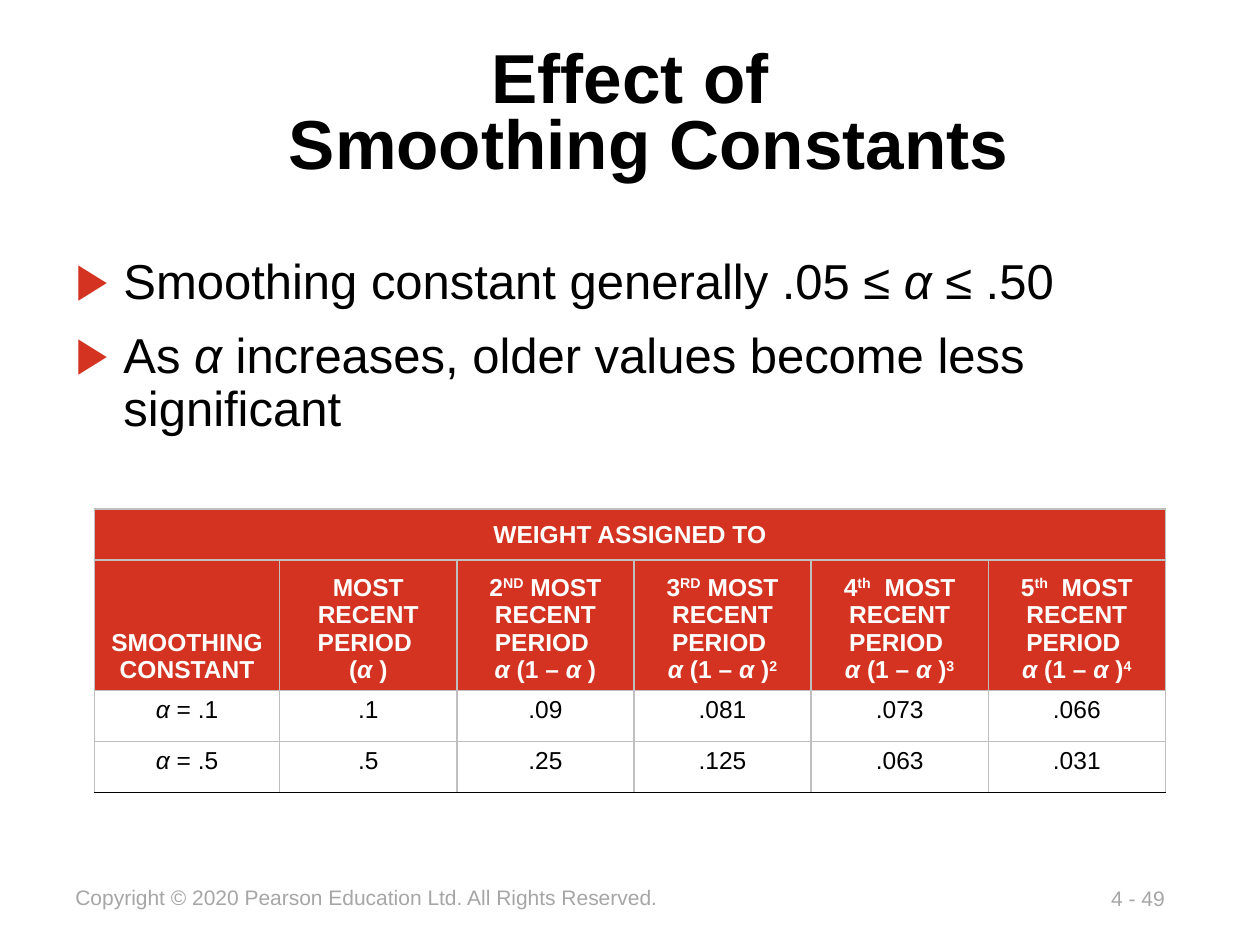
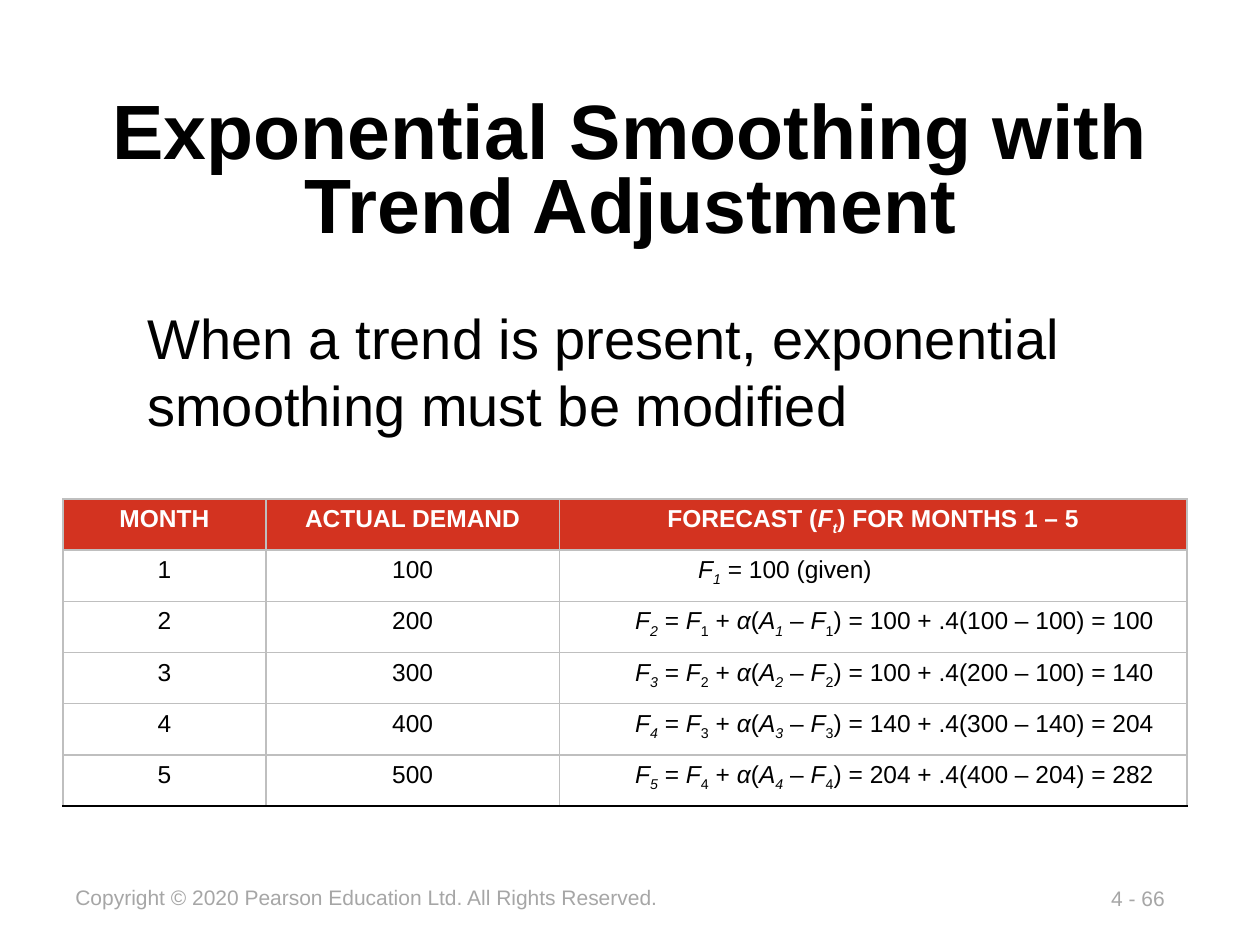
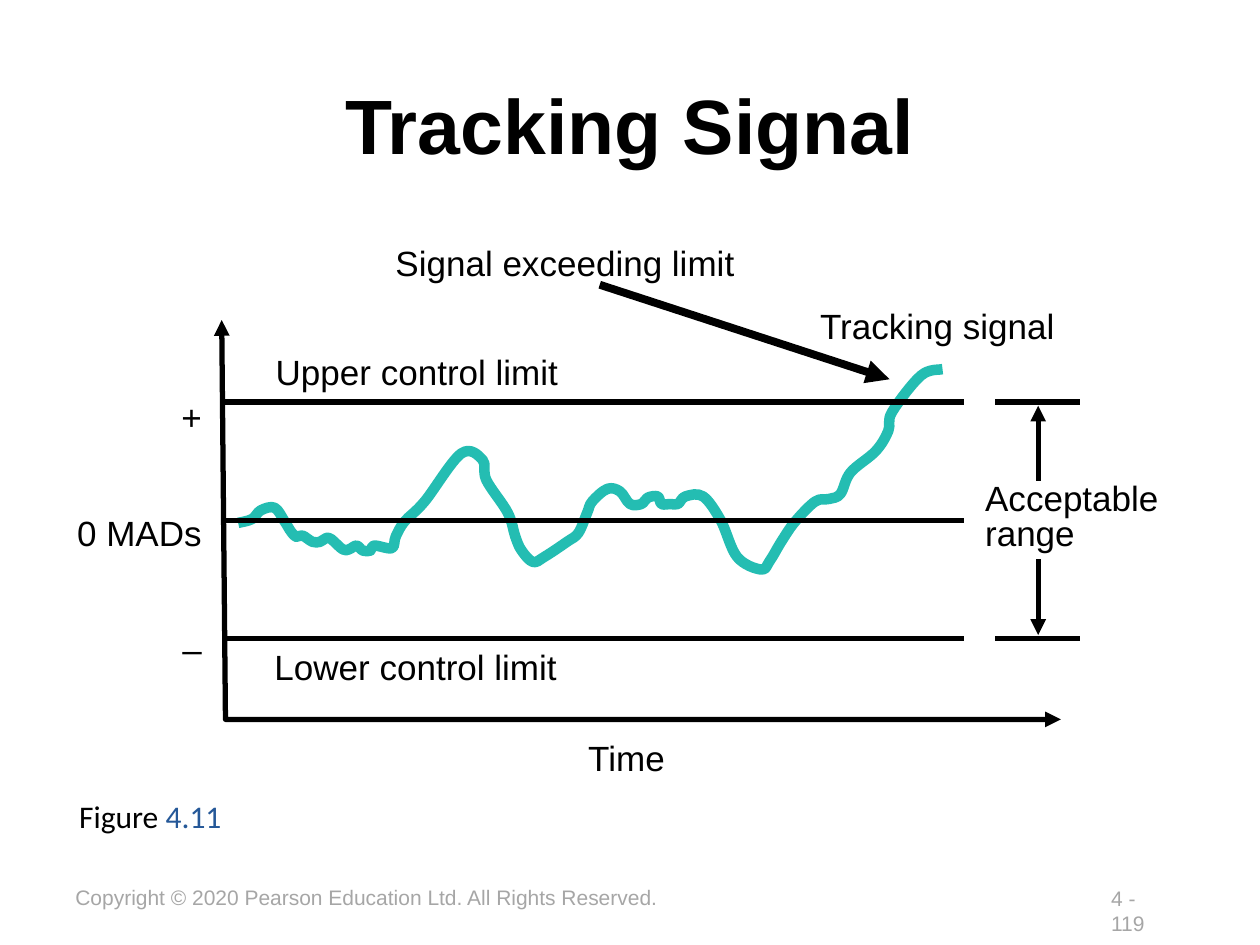
"""Build three forecasting slides: smoothing constants, trend adjustment, tracking signal."""
from lxml import etree
from pptx import Presentation
from pptx.dml.color import RGBColor
from pptx.enum.shapes import MSO_CONNECTOR
from pptx.enum.text import MSO_ANCHOR, MSO_AUTO_SIZE, PP_ALIGN
from pptx.oxml.ns import qn
from pptx.util import Inches, Pt

LEFT, MID, RIGHT = PP_ALIGN.LEFT, PP_ALIGN.CENTER, PP_ALIGN.RIGHT
TOP, CENTER, LOW = MSO_ANCHOR.TOP, MSO_ANCHOR.MIDDLE, MSO_ANCHOR.BOTTOM
FIXED, GROW = MSO_AUTO_SIZE.NONE, MSO_AUTO_SIZE.SHAPE_TO_FIT_TEXT
STRAIGHT = MSO_CONNECTOR.STRAIGHT

COLORS = {"red": "D33320", "ink": "000000", "paper": "FFFFFF", "rule": "BFBFBF",
          "foot": "A6A6A6", "teal": "24BDB2", "link": "255898"}
BASE = {"^": "30000", "_": "-25000"}
FOOT = "Copyright © 2020 Pearson Education Ltd. All Rights Reserved."

BULLETS = ("Smoothing constant generally .05 ≤ *α* ≤ .50\n"
           "As *α* increases, older values become less significant")
WEIGHTS = [
    ["WEIGHT ASSIGNED TO"] + [""] * 5,
    ["SMOOTHING CONSTANT",
     "MOST RECENT PERIOD \n(*α *)",
     "2^ND^ MOST RECENT PERIOD \n*α *(1 – *α *)",
     "3^RD^ MOST RECENT PERIOD \n*α *(1 – *α *)^2^",
     "4^th^  MOST RECENT PERIOD \n*α *(1 – *α *)^3^",
     "5^th^  MOST RECENT PERIOD \n*α *(1 – *α *)^4^"],
    ["*α* = .1", ".1", ".09", ".081", ".073", ".066"],
    ["*α* = .5", ".5", ".25", ".125", ".063", ".031"],
]
TREND = "When a trend is present, exponential smoothing must be modified"
HEADS = ["MONTH", "ACTUAL DEMAND", "FORECAST (*F_t_*) FOR MONTHS 1 – 5"]
DEMAND = [100, 200, 300, 400, 500]

SIGNAL = [
    (1.89, 4.15), (2, 4.12), (2.07, 4.05), (2.18, 4.03), (2.26, 4.14), (2.31, 4.22),
    (2.35, 4.26), (2.4, 4.25), (2.48, 4.3), (2.54, 4.3), (2.59, 4.27), (2.63, 4.28),
    (2.72, 4.36), (2.77, 4.36), (2.83, 4.33), (2.88, 4.37), (2.94, 4.37), (2.97, 4.33),
    (3.11, 4.35), (3.14, 4.26), (3.21, 4.14), (3.37, 3.98), (3.66, 3.6), (3.83, 3.65),
    (3.86, 3.81), (4.03, 4.07), (4.09, 4.26), (4.14, 4.37), (4.23, 4.46), (4.32, 4.42),
    (4.5, 4.3), (4.59, 4.23), (4.66, 4.07), (4.7, 3.98), (4.82, 3.88), (4.92, 3.9),
    (5, 4), (5.09, 4), (5.14, 3.95), (5.22, 3.94), (5.25, 4), (5.32, 4), (5.38, 4),
    (5.44, 3.94), (5.58, 3.94), (5.72, 4.13), (5.85, 4.42), (6.04, 4.52), (6.11, 4.45),
    (6.2, 4.3), (6.31, 4.14), (6.47, 3.98), (6.58, 3.96), (6.67, 3.92), (6.75, 3.75),
    (6.95, 3.58), (7.05, 3.42), (7.08, 3.27), (7.31, 2.98), (7.48, 2.93)]
AXES = [(1.76, 2.54), (1.79, 5.71), (8.42, 5.71)]
UPPER, ZERO, LOWER = 3.19, 4.13, 5.07
LABELS = [
    ("Tracking signal", (6.41, 2.37, 2.08, 0.44), {}),
    ("+\n0 MADs\n–", (0.48, 2.51, 1.22, 2.85), {"align": RIGHT, "lead": 2.75}),
    ("Upper control limit", (2.09, 2.73, 2.46, 0.44), {}),
    ("Lower control limit", (2.08, LOWER, 2.46, 0.44), {}),
    ("Time", (4.57, 5.8, 0.81, 0.44), {}),
    ("Signal exceeding limit", (3.04, 1.87, 2.91, 0.44), {}),
    ("Acceptable range", (7.72, 3.78, 1.82, 0.68), {"lead": 0.85, "wrap": True}),
    ("Figure ~4.11~", (0.53, 6.28, 1.35, 0.4), {"size": 18, "font": "Calibri"}),
]
LINES = ([((1.78, y), (7.65, y), 3, "") for y in (UPPER, ZERO, LOWER)]
         + [((7.9, y), (8.57, y), 3, "") for y in (UPPER, LOWER)]
         + [((8.24, UPPER + 0.03), (8.24, 3.82), 3, "head"),
            ((8.24, LOWER - 0.03), (8.24, 4.44), 3, "head"),
            ((4.76, 2.26), (7.06, 3.01), 4.5, "tail")])


def tint(name):
    return RGBColor.from_string(COLORS[name])


def node(parent, tag, **attrs):
    return etree.SubElement(parent, qn("a:" + tag), attrs)


def put(frame, text, size=20, font="Arial", color="ink", bold=False, align=LEFT,
        lead=None, after=0, bullet=None):
    """Fill a frame; * marks italic, ^ and _ raised and lowered, ~ link colour."""
    for num, line in enumerate(text.split("\n")):
        par = frame.paragraphs[0] if num == 0 else frame.add_paragraph()
        par.alignment = align
        par.space_before, par.space_after = Pt(0), Pt(after)
        if lead:
            par.line_spacing = lead
        if bullet:
            prop = par._p.get_or_add_pPr()
            prop.set("marL", str(Inches(0.38)))
            prop.set("indent", str(-Inches(0.38)))
            node(node(prop, "buClr"), "srgbClr", val=COLORS["red"])
            node(prop, "buFont", typeface=font)
            node(prop, "buChar", char=bullet)
        on, word = set(), ""
        for sign in line + "\n":
            if sign not in "*^_~\n":
                word += sign
                continue
            if word:
                run = par.add_run()
                run.text, word = word, ""
                run.font.size, run.font.name = Pt(size), font
                run.font.bold, run.font.italic = bold, "*" in on
                run.font.color.rgb = tint("link" if "~" in on else color)
                for mark in on & set(BASE):
                    run._r.get_or_add_rPr().set("baseline", BASE[mark])
            on ^= {sign}


def label(slide, text, box, wrap=False, **fmt):
    shape = slide.shapes.add_textbox(*map(Inches, box))
    shape.text_frame.word_wrap, shape.text_frame.auto_size = wrap, GROW
    put(shape.text_frame, text, **fmt)
    return shape


def place(shape, box, text, anchor, **fmt):
    shape.left, shape.top, shape.width, shape.height = map(Inches, box)
    frame = shape.text_frame
    frame.auto_size, frame.vertical_anchor = FIXED, anchor
    put(frame, text, **fmt)


def start(deck, kind, page, title, box, **fmt):
    slide = deck.slides.add_slide(deck.slide_layouts[kind])
    label(slide, page, (8.72, 6.98, 0.65, 0.3), wrap=True, size=12, color="foot")
    place(slide.shapes.title, box, title, CENTER, bold=True, align=MID, **fmt)
    return slide


def edge(cell, last):
    prop = cell._tc.get_or_add_tcPr()
    for num, side in enumerate("LRTB"):
        line = etree.Element(qn("a:ln" + side), {"w": str(Pt(1))})
        name = "ink" if last and side == "B" else "rule"
        node(node(line, "solidFill"), "srgbClr", val=COLORS[name])
        prop.insert(num, line)


def grid(slide, rows, spot, cols, tall, heads):
    """Draw a table whose first rows, one anchor each in heads, are red."""
    box = (*spot, sum(cols), tall)
    table = slide.shapes.add_table(len(rows), len(cols), *map(Inches, box)).table
    table.first_row = table.horz_banding = False
    for col, wide in zip(table.columns, cols):
        col.width = Inches(wide)
    for r, row in enumerate(rows):
        head = r < len(heads)
        for c, text in enumerate(row):
            cell = table.cell(r, c)
            if head:
                cell.fill.solid()
                cell.fill.fore_color.rgb = tint("red")
                cell.vertical_anchor = heads[r]
            else:
                cell.fill.background()
            edge(cell, r == len(rows) - 1)
            put(cell.text_frame, text, size=14, bold=head, align=MID,
                color="paper" if head else "ink")
    return table


def stroke(shape, color, width, ends=()):
    shape.line.color.rgb, shape.line.width = tint(color), Pt(width)
    for end in ends:
        node(shape._element.spPr.find(qn("a:ln")), end + "End", type="triangle")


def trace(slide, points, color, width, ends=()):
    spots = [(Inches(x), Inches(y)) for x, y in points]
    pen = slide.shapes.build_freeform(*spots[0])
    pen.add_line_segments(spots[1:], close=False)
    shape = pen.convert_to_shape()
    shape.shadow.inherit = False
    shape.fill.background()
    stroke(shape, color, width, ends)
    return shape


def bend(shape):
    """Turn the straight parts of an outline into one smooth curve."""
    parts = list(next(shape._element.iter(qn("a:path"))))
    dots = [(int(part[0].get("x")), int(part[0].get("y"))) for part in parts]
    ext = [dots[0], *dots, dots[-1]]
    for part, quad in zip(parts[1:], zip(ext, ext[1:], ext[2:], ext[3:])):
        part.tag = qn("a:cubicBezTo")
        ways = [(b + (c - a) / 6, c - (d - b) / 6) for a, b, c, d in zip(*quad)]
        for num, (x, y) in enumerate(zip(*ways)):
            spot = etree.Element(qn("a:pt"), x=str(round(x)), y=str(round(y)))
            part.insert(num, spot)


def weights(deck):
    slide = start(deck, 1, "4 - 49", "Effect of\nSmoothing Constants",
                  (0.5, 0.3, 9, 1.25), size=39.6, lead=0.8)
    second = slide.shapes.title.text_frame.paragraphs[1]
    second._p.get_or_add_pPr().set("marL", str(Inches(0.3)))
    place(slide.placeholders[1], (0.5, 1.99, 9, 1.9), BULLETS, TOP,
          size=28, lead=0.9, after=12, bullet="▶")
    table = grid(slide, WEIGHTS, (0.75, 4.04), [1.47] + [7.03 / 5] * 5,
                 1.62, [CENTER, LOW])
    table.cell(0, 0).merge(table.cell(0, 5))


def trend(deck):
    slide = start(deck, 5, "4 - 66", "Exponential Smoothing with Trend Adjustment",
                  (0.5, 0.67, 9.01, 1.43), size=44, lead=0.8)
    label(slide, TREND, (1.07, 2.36, 7.89, 1.18), wrap=True, size=32)
    rows, old = [HEADS, ["1", str(DEMAND[0]), "*F_1_* = 100 (given)"]], 100
    for n in range(2, len(DEMAND) + 1):
        p, real = n - 1, DEMAND[n - 2]
        new = round(old + 0.4 * (real - old))
        rows.append([str(n), str(DEMAND[p]),
                     f"*F_{n}_* = *F*_{p}_ + *α*(*A_{p}_* – *F*_{p}_)"
                     f" = {old} + .4({real} – {old}) = {new}"])
        old = new
    table = grid(slide, rows, (0.5, 3.96), [1.61, 2.33, 4.98], 2.44, [TOP])
    for r in range(1, len(rows)):
        cell = table.cell(r, 2)
        cell.margin_left = Inches(1.1 if r == 1 else 0.6)
        cell.text_frame.paragraphs[0].alignment = LEFT


def signal(deck):
    slide = start(deck, 5, "4 - 119", "Tracking Signal", (0.75, 0.48, 8.5, 1), size=44)
    bend(trace(slide, SIGNAL, "teal", 6))
    trace(slide, AXES, "ink", 3, ("head", "tail"))
    for begin, stop, width, end in LINES:
        line = slide.shapes.add_connector(STRAIGHT, *map(Inches, begin + stop))
        stroke(line, "ink", width, [end] if end else [])
        node(line._element.spPr, "effectLst")
    for text, box, fmt in LABELS:
        label(slide, text, box, **fmt)


def main():
    deck = Presentation()
    deck.slide_width, deck.slide_height = Inches(10), Inches(7.5)
    for build in (weights, trend, signal):
        build(deck)
    foot = label(deck.slides[0], FOOT, (0.5, 6.97, 4.86, 0.3), size=12, color="foot")
    deck.slide_master.shapes._spTree.append(foot._element)
    deck.save("out.pptx")


if __name__ == "__main__":
    main()
